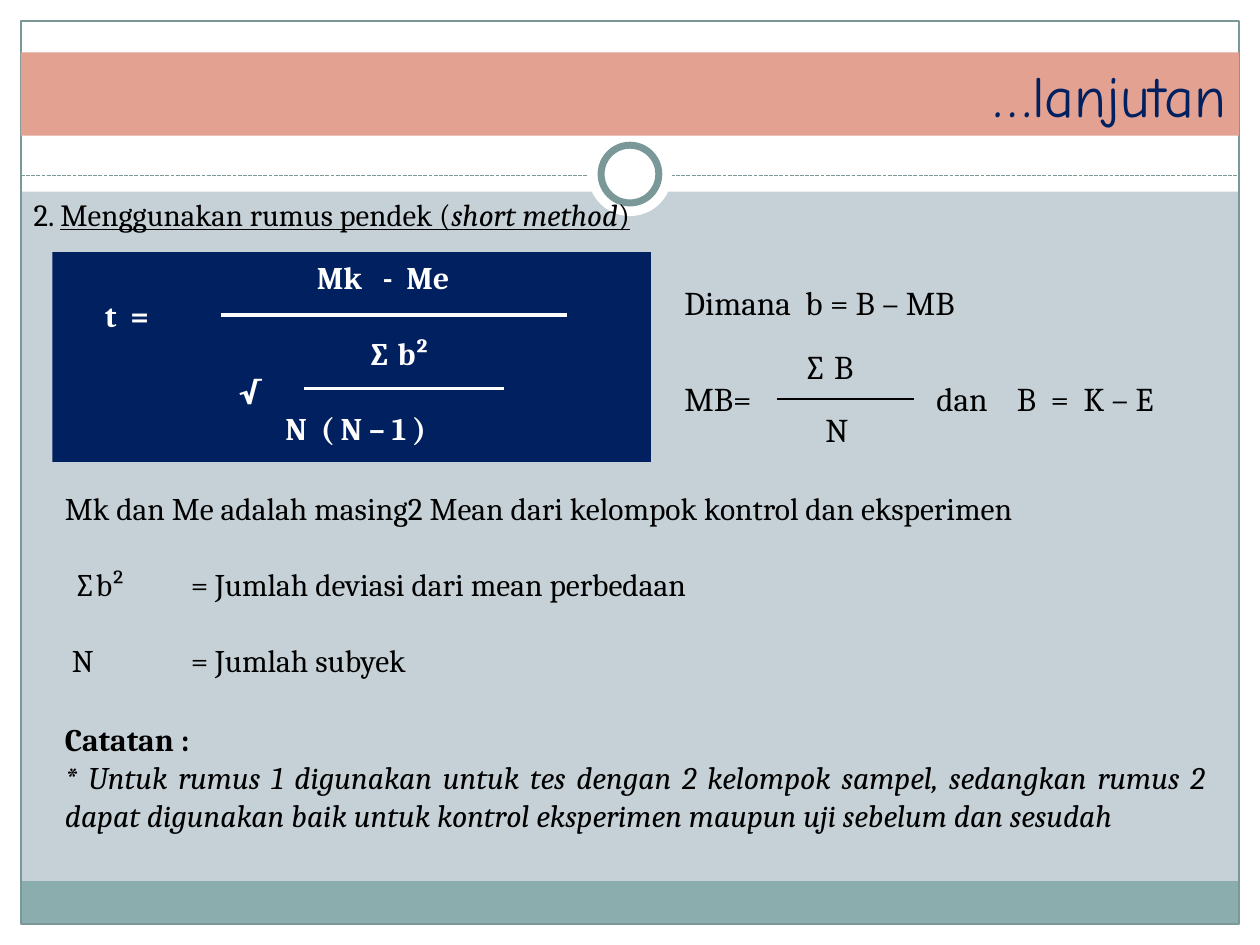
"""Build the slide on the short method of the t formula."""
from pptx import Presentation
from pptx.dml.color import RGBColor as RGB
from pptx.enum.dml import MSO_LINE as DASH
from pptx.enum.shapes import MSO_CONNECTOR as CONN, MSO_SHAPE as SHAPE
from pptx.enum.text import MSO_ANCHOR as ANCHOR, MSO_AUTO_SIZE as AUTO, PP_ALIGN as ALIGN
from pptx.oxml.ns import qn
from pptx.util import Pt
from lxml.etree import SubElement as Sub

WHITE, BLACK = RGB(255, 255, 255), RGB(0, 0, 0)
NAVY, CORAL = RGB(0x00, 0x20, 0x60), RGB(0xE3, 0xA1, 0x92)
TEAL, SLATE = RGB(0x8C, 0xAD, 0xAE), RGB(0x7B, 0x98, 0x99)
MIST = RGB(0xC5, 0xD1, 0xD7)
W, H, EDGE = 720, 540, 12

FRAME = [
    (SHAPE.RECTANGLE, (0, 528, W, EDGE), WHITE, None, 0),
    (SHAPE.RECTANGLE, (0, 0, W, 109.5), WHITE, None, 0),
    (SHAPE.RECTANGLE, (0, 0, EDGE, H), WHITE, None, 0),
    (SHAPE.RECTANGLE, (W - EDGE, 0, EDGE, H), WHITE, None, 0),
    (SHAPE.RECTANGLE, (EDGE, 503.5, W - 2 * EDGE, 24.5), TEAL, None, 0),
    (SHAPE.RECTANGLE, (EDGE, EDGE, W - 2 * EDGE, H - 2 * EDGE), None, SLATE, 0.75),
]
RINGS = [
    (SHAPE.OVAL, (336, 75.5, 48, 48), WHITE, None, 0),
    (SHAPE.OVAL, (343.5, 83, 33, 33), WHITE, SLATE, 4),
]
BARS = [
    (126, 180, 324, WHITE, 2.25),
    (174, 222, 288, WHITE, 2.25),
    (444, 228, 522, BLACK, 0.75),
]

# Each paragraph: runs of (text, style), left margin, first-line indent, space before
TITLE = [([("…lanjutan", "")], 0, 0, 0)]
HEAD = [([("2. ", ""), ("Menggunakan rumus pendek (", "u"),
          ("short method", "ui"), (")", "u")], 21.6, -21.6, 4.8)]
RATIO = [
    ([("Mk   -  Me", "b")], 144, 0, 0),
    ([("t  =", "b")], 23, 0, 0),
    ([("∑ b²", "b")], 173, 0, 0),
    ([("√", "b")], 99, 0, 0),
    ([("N  ( N – 1 )", "b")], 126, 0, 0),
]
WHERE = [
    ([("Dimana  b = B – MB", "")], 0, 0, 0),
    ([("∑ B", "")], 68, 0, 18.3),
    ([("MB=\tdan    B  =  K – E", "")], 144, -144, 0),
    ([("N", "")], 80.5, 0, 0),
]
TERMS = [
    ([("Mk dan Me adalah masing2 Mean dari kelompok kontrol dan eksperimen", "")], 0, 0, 0),
    ([("∑b²\t= Jumlah deviasi dari mean perbedaan", "")], 72, -67, 21.7),
    ([("N\t= Jumlah subyek", "")], 72, -68, 21.7),
]
NOTE = [
    ([("Catatan :", "b")], 0, 0, 0),
    ([("* Untuk rumus 1 digunakan untuk tes dengan 2 kelompok sampel, sedangkan "
       "rumus 2 dapat digunakan baik untuk kontrol eksperimen maupun uji sebelum "
       "dan sesudah", "i")], 0, 0, 0),
]

deck = Presentation()
deck.slide_width, deck.slide_height = Pt(W), Pt(H)
slide = deck.slides.add_slide(deck.slide_layouts[1])
slide.background.fill.solid()
slide.background.fill.fore_color.rgb = MIST
items = slide.shapes


def draw(kind, box, fill, line, width):
    """Add a preset shape."""
    shape = items.add_shape(kind, *map(Pt, box))
    shape.shadow.inherit = False
    if fill is None:
        shape.fill.background()
    else:
        shape.fill.solid()
        shape.fill.fore_color.rgb = fill
    if line is None:
        shape.line.fill.background()
    else:
        shape.line.color.rgb = line
        shape.line.width = Pt(width)
    return shape


def rule(x, y, end, color, width, dash=None):
    """Add a level line."""
    line = items.add_connector(CONN.STRAIGHT, Pt(x), Pt(y), Pt(end), Pt(y))
    line.line.color.rgb, line.line.width = color, Pt(width)
    if dash:
        line.line.dash_style = dash
    Sub(line._element.spPr, qn("a:effectLst"))


def write(shape, paras, size=18, font="Cambria", color=BLACK, align=ALIGN.LEFT,
          anchor=ANCHOR.TOP, space=1.0):
    """Fill a shape with formatted paragraphs."""
    frame = shape.text_frame
    frame.word_wrap, frame.auto_size = True, AUTO.NONE
    frame.vertical_anchor = anchor
    for n, (runs, left, first, before) in enumerate(paras):
        para = frame.add_paragraph() if n else frame.paragraphs[0]
        para.alignment, para.line_spacing = align, space
        para.space_before, para.space_after = Pt(before), Pt(0)
        props = para._p.get_or_add_pPr()
        props.set("marL", str(Pt(left)))
        props.set("indent", str(Pt(first)))
        Sub(props, qn("a:buNone"))
        for words, style in runs:
            run = para.add_run()
            run.text = words
            face = run.font
            face.name, face.size, face.color.rgb = font, Pt(size), color
            face.bold, face.italic = "b" in style, "i" in style
            face.underline = "u" in style


def place(shape, box):
    """Move a placeholder to a box and to the front."""
    shape.left, shape.top, shape.width, shape.height = map(Pt, box)
    items._spTree.append(shape._element)
    return shape


def label(box):
    """Add an empty text box."""
    return items.add_textbox(*map(Pt, box))


for part in FRAME:
    draw(*part)
rule(EDGE, 100.5, W - EDGE, SLATE, 0.75, DASH.SQUARE_DOT)
for part in RINGS:
    draw(*part)

title = place(items.title, (EDGE, 30, 696, 47.5))
title.fill.solid()
title.fill.fore_color.rgb = CORAL
write(title, TITLE, size=33, font="Comic Neue", color=NAVY, align=ALIGN.RIGHT,
      anchor=ANCHOR.MIDDLE)
write(place(slide.placeholders[1], (EDGE, 114, 432, 29.5)), HEAD, size=17.6, space=0.7)

panel = draw(SHAPE.RECTANGLE, (30, 144, 342, 120), NAVY, None, 0)
write(panel, RATIO, color=WHITE)
write(label((384, 162, 318, 102)), WHERE, size=19, space=0.8)
write(label((30, 276, 666, 120)), TERMS)
write(label((30, 408, 666, 96)), NOTE, align=ALIGN.JUSTIFY)
for bar in BARS:
    rule(*bar)

deck.save("out.pptx")
